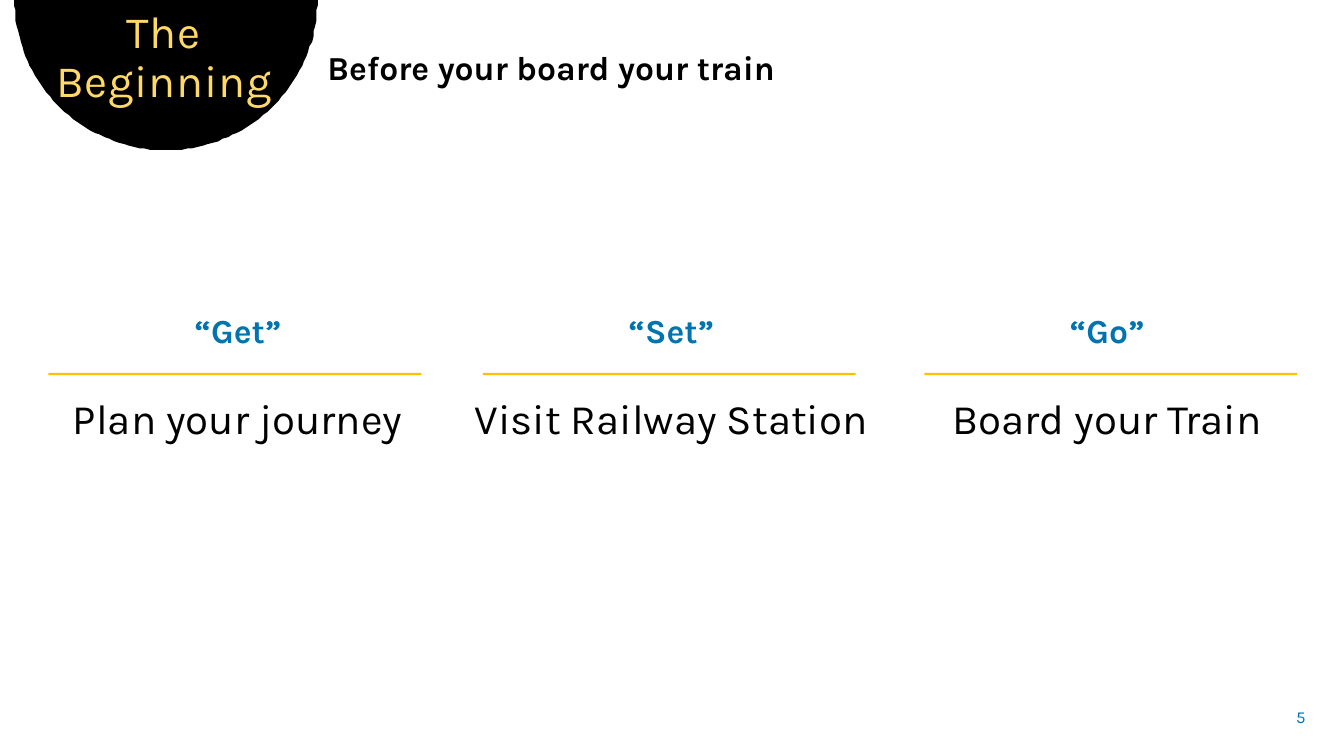
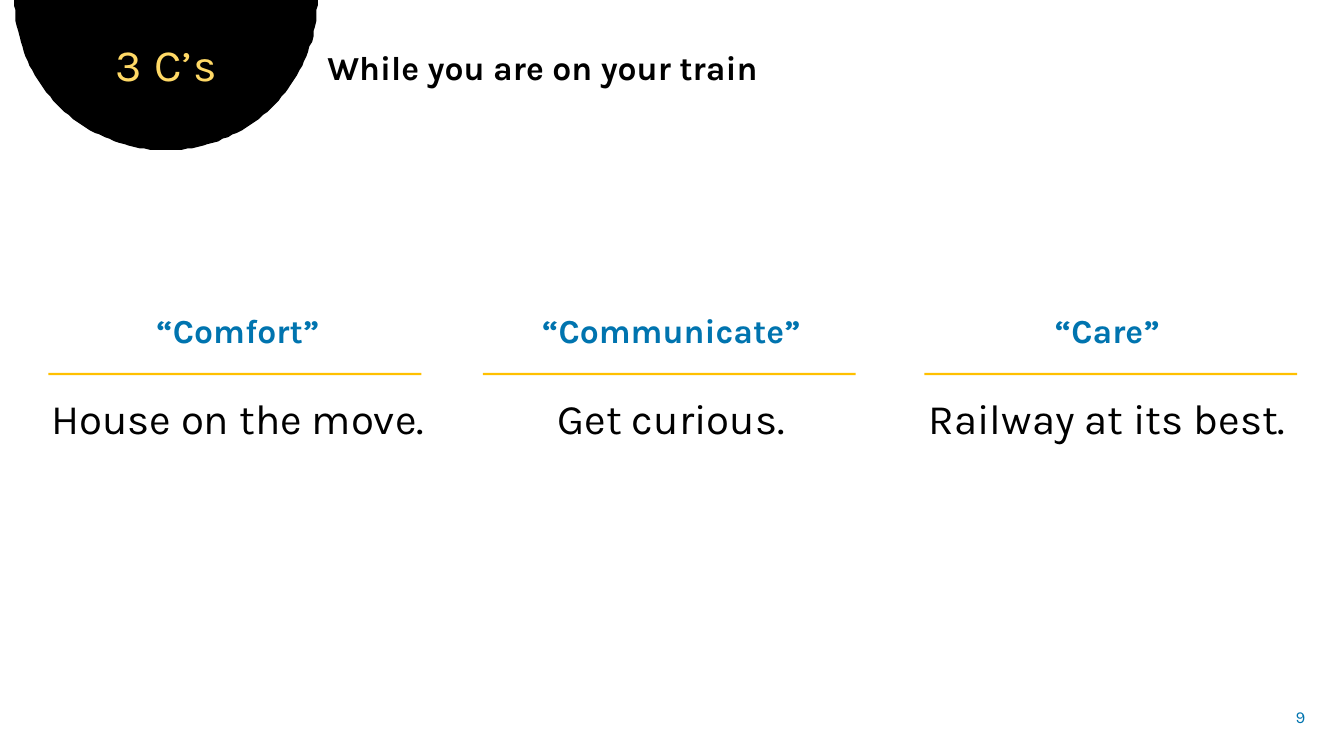
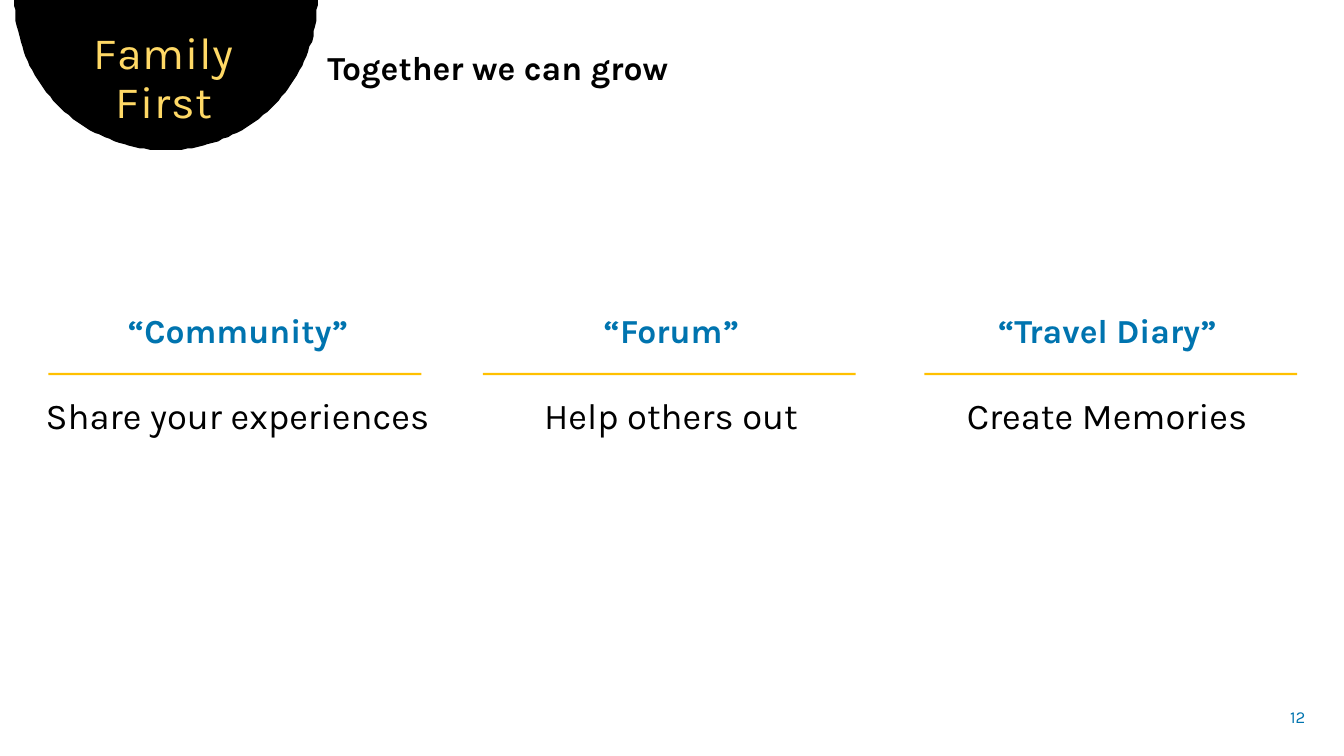
from math import cos, pi, sin
from typing import NamedTuple

from pptx import Presentation
from pptx.dml.color import RGBColor
from pptx.enum.shapes import MSO_SHAPE
from pptx.enum.text import MSO_ANCHOR, MSO_AUTO_SIZE, PP_ALIGN
from pptx.oxml.ns import qn
from pptx.util import Pt

FONT = "Karla"
BLACK, BLUE, GOLD, CREAM = "000000", "0074AF", "FFC000", "FFD966"


class Box(NamedTuple):
    left: float
    top: float
    width: float
    height: float


class Column(NamedTuple):
    left: float
    width: float
    rule: float


class Step(NamedTuple):
    head: str
    text: str


class Page(NamedTuple):
    title: str
    spot: Box
    lead: str
    steps: tuple[Step, Step, Step]
    size: float
    number: str


DOME = Box(10.37, 0, 216.36, 107.28)
LEAD = Box(226.8, 33.12, 714.96, 33.12)
NUMBER = Box(900, 497.52, 39.6, 28.8)
COLUMNS = (
    Column(23.76, 292.32, 34.56),
    Column(328.32, 302.4, 344.88),
    Column(642.24, 297.36, 660.24),
)
TEXT_TOP, TEXT_HIGH = 221.04, 100.8
RULE_TOP, RULE_WIDE, RULE_HIGH = 266.4, 266.4, 1.5

PAGES = (
    Page("The Beginning", Box(23.76, 3.6, 187.2, 77.04),
         "Before your board your train",
         (Step("“Get”", "Plan your journey"),
          Step("“Set”", "Visit Railway Station"),
          Step("“Go”", "Board your Train")), 30, "5"),
    Page("3 C’s", Box(25.2, 26.64, 187.2, 42.48),
         "While you are on your train",
         (Step("“Comfort”", "House on the move."),
          Step("“Communicate”", "Get curious."),
          Step("“Care”", "Railway at its best.")), 30, "9"),
    Page("Family First", Box(23.76, 18.72, 187.2, 77.04),
         "Together we can grow",
         (Step("“Community”", "Share your experiences"),
          Step("“Forum”", "Help others out"),
          Step("“Travel Diary”", "Create Memories")), 26, "12"),
)


def rgb(code: str) -> RGBColor:
    return RGBColor.from_string(code)


def place(shape, box: Box) -> None:
    shape.left, shape.top, shape.width, shape.height = map(Pt, box)


def paint(shape, code: str) -> None:
    """Give a shape a flat fill with no line or shadow."""
    shape.fill.solid()
    shape.fill.fore_color.rgb = rgb(code)
    shape.line.fill.background()
    shape.shadow.inherit = False


def style(para, size: float, code: str, align=PP_ALIGN.CENTER,
          bold: bool = False, pitch: float = 0.9) -> None:
    para.alignment = align
    para.line_spacing = pitch
    font = para.font
    font.name, font.size, font.bold = FONT, Pt(size), bold
    font.color.rgb = rgb(code)


def frame(shape, anchor=MSO_ANCHOR.TOP):
    """Set wrapping and anchor, and return the text frame."""
    text = shape.text_frame
    text.word_wrap = True
    text.auto_size = MSO_AUTO_SIZE.NONE
    text.vertical_anchor = anchor
    return text


def add_text(slide, box: Box, anchor=MSO_ANCHOR.TOP):
    return frame(slide.shapes.add_textbox(*map(Pt, box)), anchor)


def add_dome(slide) -> None:
    """Draw the half disc at the top edge, behind the title."""
    half, steps = DOME.width / 2, 90
    mid = DOME.left + half
    points = [(mid + half * cos(pi * i / steps),
               DOME.top + DOME.height * sin(pi * i / steps))
              for i in range(steps + 1)]
    pen = slide.shapes.build_freeform(*points[0], scale=Pt(1))
    pen.add_line_segments(points[1:], close=True)
    dome = pen.convert_to_shape()
    paint(dome, BLACK)
    slide.shapes.title._element.addprevious(dome._element)


def set_title(slide, page: Page) -> None:
    title = slide.shapes.title
    place(title, page.spot)
    text = frame(title)
    text.text = page.title
    para = text.paragraphs[0]
    style(para, 32, CREAM)
    para._p.pPr.find(qn("a:defRPr")).set("spc", "60")


def add_step(slide, column: Column, step: Step, size: float) -> None:
    text = add_text(slide, Box(column.left, TEXT_TOP, column.width, TEXT_HIGH))
    head = text.paragraphs[0]
    head.text = step.head
    style(head, 24, BLUE, bold=True)
    head.space_after = Pt(24)
    body = text.add_paragraph()
    body.text = step.text
    style(body, size, BLACK)
    body.space_before = Pt(10)
    rule = slide.shapes.add_shape(
        MSO_SHAPE.RECTANGLE,
        *map(Pt, (column.rule, RULE_TOP, RULE_WIDE, RULE_HIGH)))
    paint(rule, GOLD)


def add_page(deck, page: Page) -> None:
    slide = deck.slides.add_slide(deck.slide_layouts[5])
    add_dome(slide)
    set_title(slide, page)
    lead = add_text(slide, LEAD).paragraphs[0]
    lead.text = page.lead
    style(lead, 24, BLACK, PP_ALIGN.LEFT, bold=True)
    for column, step in zip(COLUMNS, page.steps):
        add_step(slide, column, step, page.size)
    number = add_text(slide, NUMBER, MSO_ANCHOR.MIDDLE).paragraphs[0]
    number.text = page.number
    style(number, 12, BLUE, PP_ALIGN.RIGHT, pitch=1.0)


def main() -> None:
    deck = Presentation()
    deck.slide_width, deck.slide_height = Pt(960), Pt(540)
    for page in PAGES:
        add_page(deck, page)
    deck.save("out.pptx")


if __name__ == "__main__":
    main()
